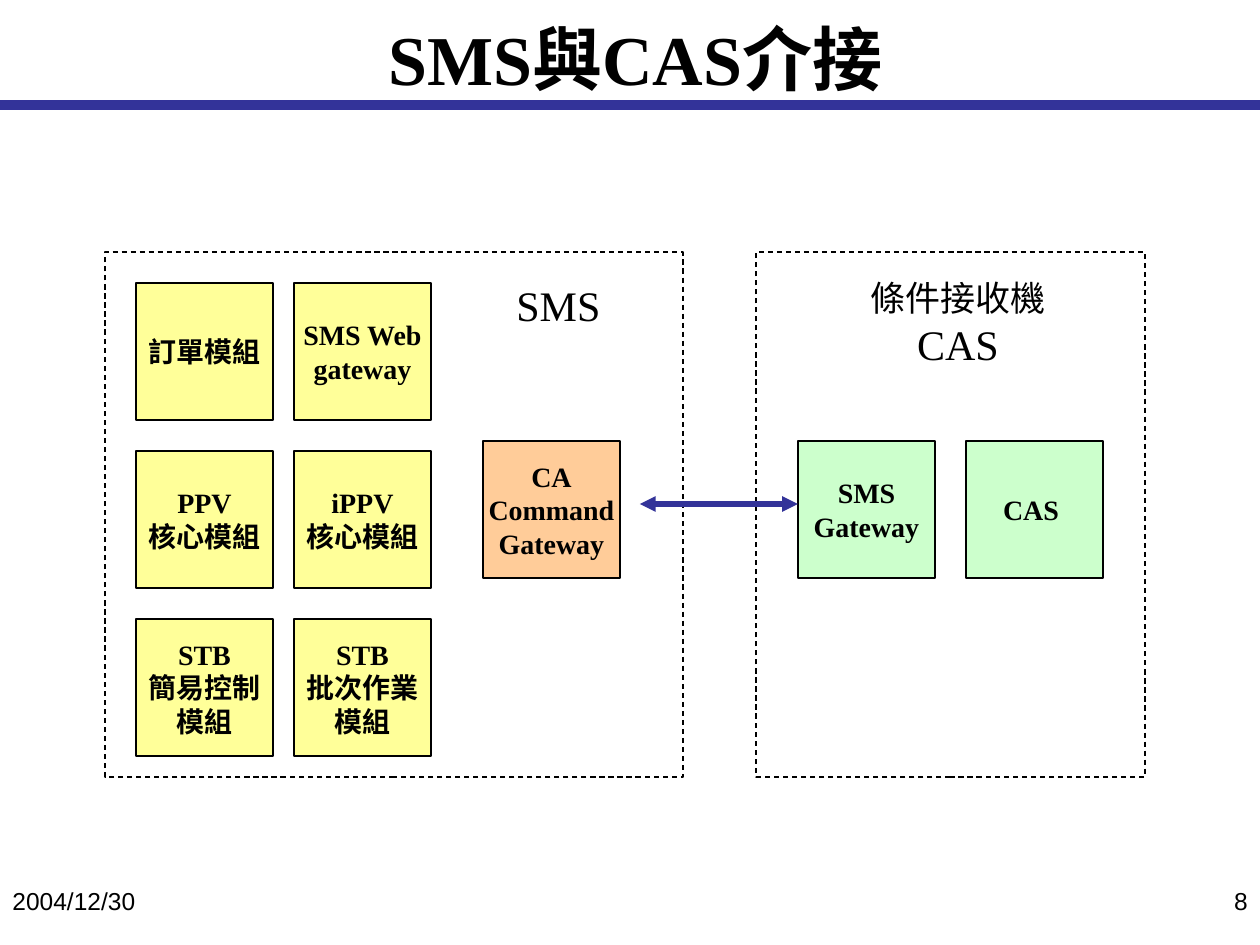
from pptx import Presentation
from pptx.util import Emu, Pt
from pptx.dml.color import RGBColor
from pptx.enum.shapes import MSO_SHAPE as Shape, MSO_CONNECTOR as Link
from pptx.enum.text import PP_ALIGN as Align, MSO_ANCHOR as Anchor, MSO_AUTO_SIZE as Fit
from pptx.enum.dml import MSO_LINE as Dash
from lxml.etree import SubElement
from pptx.oxml.ns import qn

SCALE = 914400 / 126
SERIF = "Times New Roman"
BLACK, NAVY = "000000", "333399"
YELLOW, ORANGE, GREEN = "FFFF99", "FFCC99", "CCFFCC"
SIDE = 137


def px(*nums):
    return [Emu(round(n * SCALE)) for n in nums]


def color(code):
    return RGBColor.from_string(code)


def write(frame, lines, sizes, font=SERIF, bold=False, align=Align.CENTER, wrap=False):
    frame.word_wrap = wrap
    frame.text = "\n".join(lines)
    for para, size in zip(frame.paragraphs, sizes):
        para.alignment = align
        para.font.name = font
        para.font.size = Pt(size)
        para.font.bold = bold
        para.font.color.rgb = color(BLACK)


def add_title(slide, text):
    title = slide.shapes.title
    title.left, title.top, title.width, title.height = px(32, 0, 1207, 116)
    frame = title.text_frame
    write(frame, [text], [40], bold=True, wrap=True)
    frame.auto_size = Fit.NONE
    frame.vertical_anchor = Anchor.MIDDLE


def add_rect(slide, left, top, width, height):
    rect = slide.shapes.add_shape(Shape.RECTANGLE, *px(left, top, width, height))
    rect.shadow.inherit = False
    rect.line.color.rgb = color(BLACK)
    rect.line.width = Pt(0.74)
    return rect


def add_frame(slide, left, width):
    rect = add_rect(slide, left, 252, width, 525)
    rect.fill.background()
    rect.line.dash_style = Dash.DASH


def add_box(slide, left, top, fill, *lines):
    box = add_rect(slide, left, top, SIDE, SIDE)
    box.fill.solid()
    box.fill.fore_color.rgb = color(fill)
    write(box.text_frame, lines, [16] * len(lines), bold=True)
    box.text_frame.vertical_anchor = Anchor.MIDDLE


def add_text(slide, area, lines, sizes, **style):
    box = slide.shapes.add_textbox(*px(*area))
    write(box.text_frame, lines, sizes, wrap=True, **style)


def add_line(slide, start, end, top, width, heads=False):
    line = slide.shapes.add_connector(Link.STRAIGHT, *px(start, top, end, top))
    line.line.color.rgb = color(NAVY)
    line.line.width = Pt(width)
    props = line._element.spPr
    if heads:
        for tag in ("a:headEnd", "a:tailEnd"):
            SubElement(props.find(qn("a:ln")), qn(tag), type="triangle")
    SubElement(props, qn("a:effectLst"))


def main():
    deck = Presentation()
    deck.slide_width, deck.slide_height = px(1260, 945)
    slide = deck.slides.add_slide(deck.slide_layouts[5])

    add_line(slide, 0, 1260, 105, 6)
    add_title(slide, "SMS與CAS介接")
    add_frame(slide, 105, 578)
    add_frame(slide, 756, 389)

    grid = [
        [["訂單模組"], ["SMS Web", "gateway"]],
        [["PPV", "核心模組"], ["iPPV", "核心模組"]],
        [["STB", "簡易控制", "模組"], ["STB", "批次作業", "模組"]],
    ]
    for row, cells in enumerate(grid):
        for col, lines in enumerate(cells):
            add_box(slide, 136 + 158 * col, 283 + 168 * row, YELLOW, *lines)

    add_box(slide, 483, 441, ORANGE, "CA", "Command", "Gateway")
    add_box(slide, 798, 441, GREEN, "SMS", "Gateway")
    add_box(slide, 966, 441, GREEN, "CAS ")
    add_line(slide, 640, 798, 504, 3, heads=True)

    add_text(slide, (504, 273, 116, 63), ["SMS"], [24], align=Align.LEFT)
    add_text(slide, (852, 270, 212, 106), ["條件接收機", "CAS"], [20, 24])
    add_text(slide, (0, 880, 294, 65), ["2004/12/30"], [14],
             font="Arial", align=Align.LEFT)
    add_text(slide, (966, 880, 294, 65), ["8"], [14],
             font="Arial", align=Align.RIGHT)
    deck.save("out.pptx")


main()
